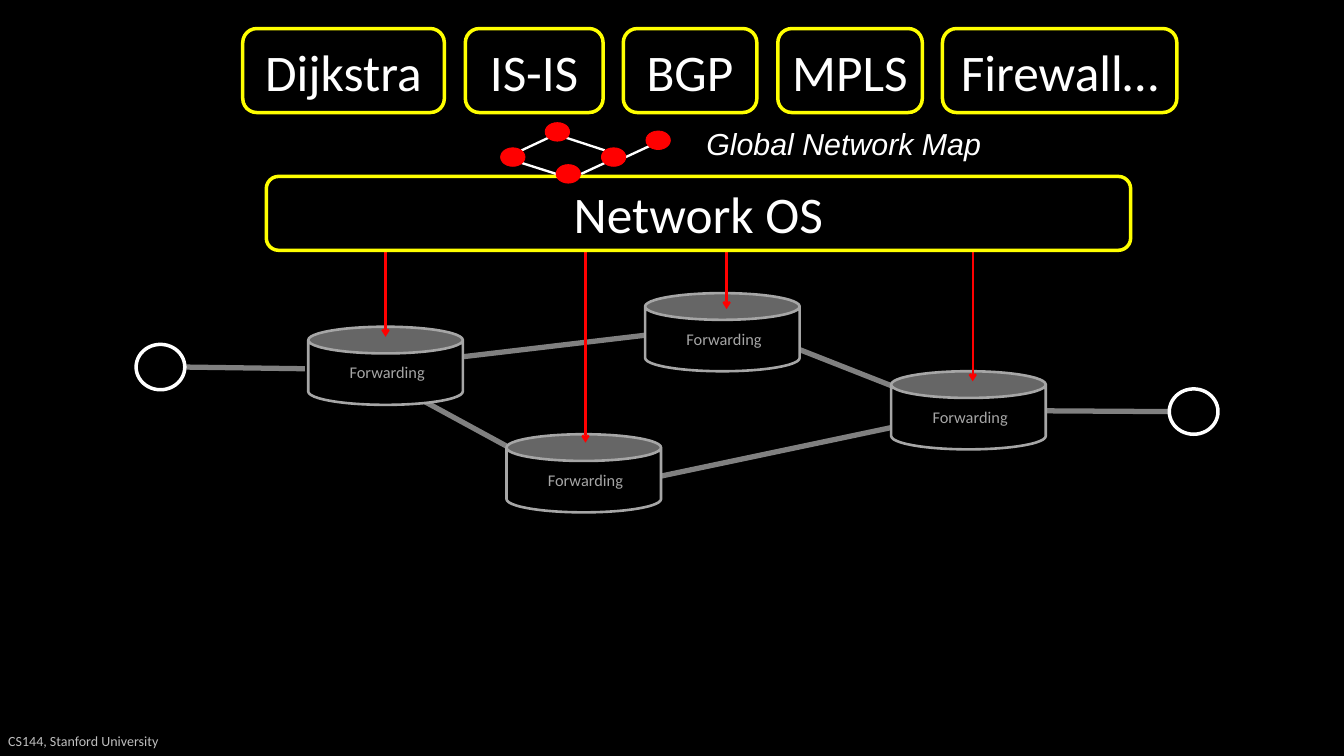
import pptx
import pptx.util
import pptx.dml.color
import pptx.enum.shapes
import pptx.enum.text
import pptx.oxml
import pptx.oxml.ns
from dataclasses import dataclass

Inches = pptx.util.Inches
Pt = pptx.util.Pt
MSO = pptx.enum.shapes.MSO_SHAPE
ALIGN = pptx.enum.text.PP_ALIGN
ANCHOR = pptx.enum.text.MSO_ANCHOR


@dataclass(frozen=True)
class Theme:
    black: str = "000000"
    white: str = "FFFFFF"
    yellow: str = "FFFF00"
    red: str = "FF0000"
    link: str = "808080"
    switch: str = "A6A6A6"
    footer: str = "BFBFBF"
    body: str = "Calibri"
    caption: str = "Arial"
    app_size: int = 44
    map_size: int = 26
    switch_size: int = 14
    footer_size: int = 12


T = Theme()
rgb = pptx.dml.color.RGBColor.from_string

prs = pptx.Presentation()
prs.slide_width, prs.slide_height = Inches(16), Inches(9)
s = prs.slides.add_slide(prs.slide_layouts[6])
s.background.fill.solid()
s.background.fill.fore_color.rgb = rgb(T.black)


def add_line(x1, y1, x2, y2, color, width, arrow=False):
    ln = s.shapes.add_connector(pptx.enum.shapes.MSO_CONNECTOR.STRAIGHT,
                                Inches(x1), Inches(y1), Inches(x2), Inches(y2))
    ln.line.color.rgb = rgb(color)
    ln.line.width = Pt(width)
    if arrow:
        tail = pptx.oxml.parse_xml(
            f'<a:tailEnd {pptx.oxml.ns.nsdecls("a")} type="arrow"/>')
        ln.line._get_or_add_ln().append(tail)
    ln._element.spPr.append(
        pptx.oxml.parse_xml(f'<a:effectLst {pptx.oxml.ns.nsdecls("a")}/>'))


def add_box(kind, x, y, w, h, text="", fill=None, line=None, width=0,
            align=ALIGN.CENTER, anchor=ANCHOR.MIDDLE, inset=0, **font):
    box = Inches(x), Inches(y), Inches(w), Inches(h)
    if kind is None:
        sp = s.shapes.add_textbox(*box)
    else:
        sp = s.shapes.add_shape(kind, *box)
        sp.shadow.inherit = False
        sp.fill.solid()
        sp.fill.fore_color.rgb = rgb(fill)
        sp.line.color.rgb = rgb(line)
        sp.line.width = Pt(width)
    if text:
        tf = sp.text_frame
        frame = dict(word_wrap=False, vertical_anchor=anchor,
                     margin_left=Inches(inset), margin_right=0)
        for name, value in frame.items():
            setattr(tf, name, value)
        p = tf.paragraphs[0]
        p.alignment = align
        r = p.add_run()
        r.text = text
        r.font.color.rgb = rgb(font.pop("color"))
        for name, value in font.items():
            setattr(r.font, name, value)
    return sp


add_box(None, 0, 8.62, 3, 0.4, "CS144, Stanford University", align=ALIGN.LEFT,
        inset=0.1, name=T.body, size=Pt(T.footer_size), color=T.footer)

links = [(2.2, 4.37, 3.63, 4.39), (5.06, 4.3, 7.86, 3.97),
         (4.65, 4.56, 6.69, 5.67), (9.03, 3.97, 11.37, 4.89),
         (7.86, 5.67, 10.85, 5.04), (13.92, 4.9, 12.29, 4.89)]
for ends in links:
    add_line(*ends, T.link, 4.5)

for x, y in [(13.92, 4.63), (1.62, 4.1)]:
    add_box(MSO.OVAL, x, y, 0.58, 0.54, fill=T.black, line=T.white, width=3)

for x, y in [(3.67, 3.89), (6.03, 5.17), (7.68, 3.49), (10.61, 4.42)]:
    can = add_box(MSO.CAN, x, y, 1.84, 0.93, "Forwarding", fill=T.black,
                  line=T.switch, width=2.25, inset=0.04, name=T.body,
                  size=Pt(T.switch_size), color=T.switch)
    can.adjustments[0] = 0.342

for x, y in [(4.59, 4.01), (8.65, 3.68), (11.58, 4.54), (6.97, 5.27)]:
    add_line(x, 2.98, x, y, T.red, 2, arrow=True)

apps = [("Dijkstra", 2.89, 0.34, 2.4, 1), ("Network OS", 3.17, 2.1, 10.29, 0.88),
        ("IS-IS", 5.54, 0.34, 1.64, 1), ("BGP", 7.42, 0.34, 1.59, 1),
        ("MPLS", 9.26, 0.34, 1.72, 1), ("Firewall…", 11.22, 0.34, 2.79, 1)]
for text, *box in apps:
    add_box(MSO.ROUNDED_RECTANGLE, *box, text, fill=T.black, line=T.yellow,
            width=3, name=T.body, size=Pt(T.app_size), color=T.white)

map_links = [(6.21, 1.79, 6.53, 1.64), (6.62, 2.07, 6.21, 1.94),
             (7.2, 1.79, 6.74, 1.64), (6.92, 2.07, 7.2, 1.94),
             (7.45, 1.87, 7.73, 1.74)]
for ends in map_links:
    add_line(*ends, T.white, 2)

for x, y in [(5.96, 1.76), (6.49, 1.46), (7.16, 1.76), (7.69, 1.56), (6.62, 1.96)]:
    add_box(MSO.OVAL, x, y, 0.29, 0.22, fill=T.red, line=T.red, width=0.75)

add_box(None, 8.31, 1.44, 3.59, 0.54, "Global Network Map", align=ALIGN.LEFT,
        anchor=ANCHOR.TOP, inset=0.1, name=T.caption, size=Pt(T.map_size),
        italic=True, color=T.white)

prs.save("out.pptx")
